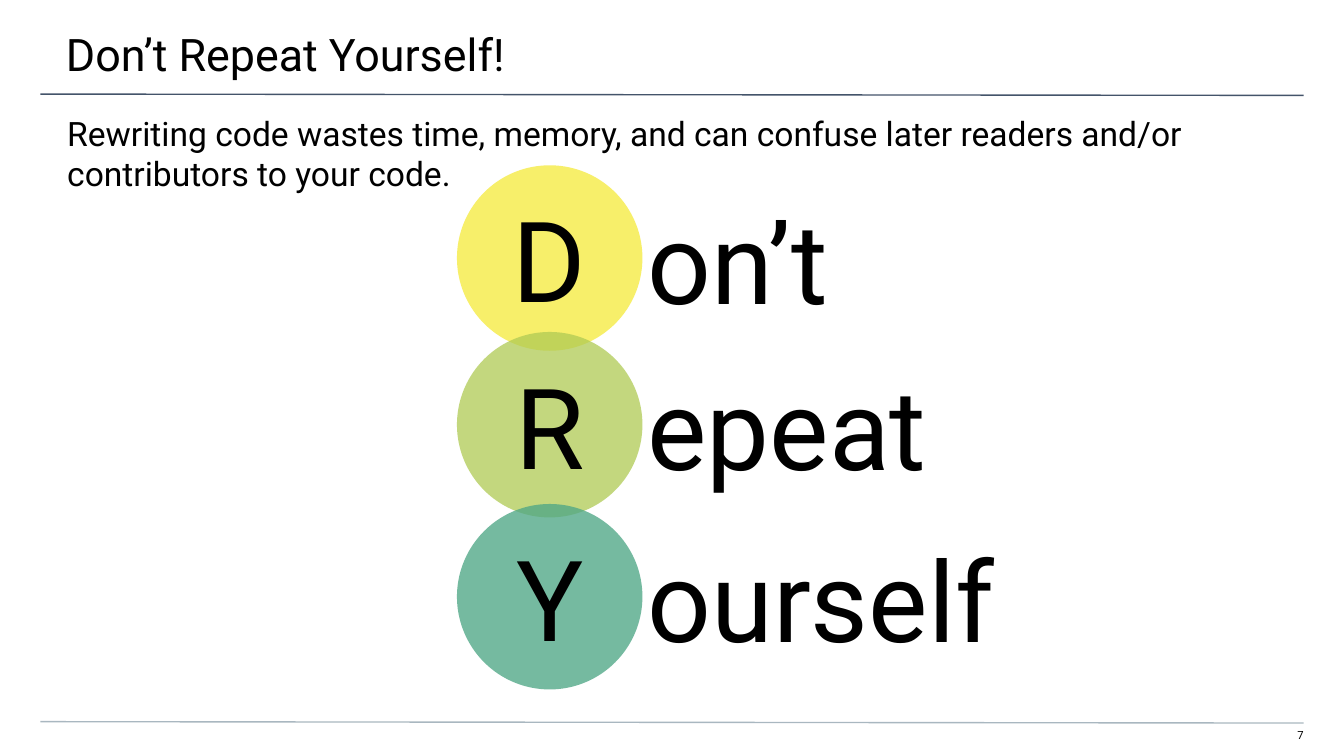
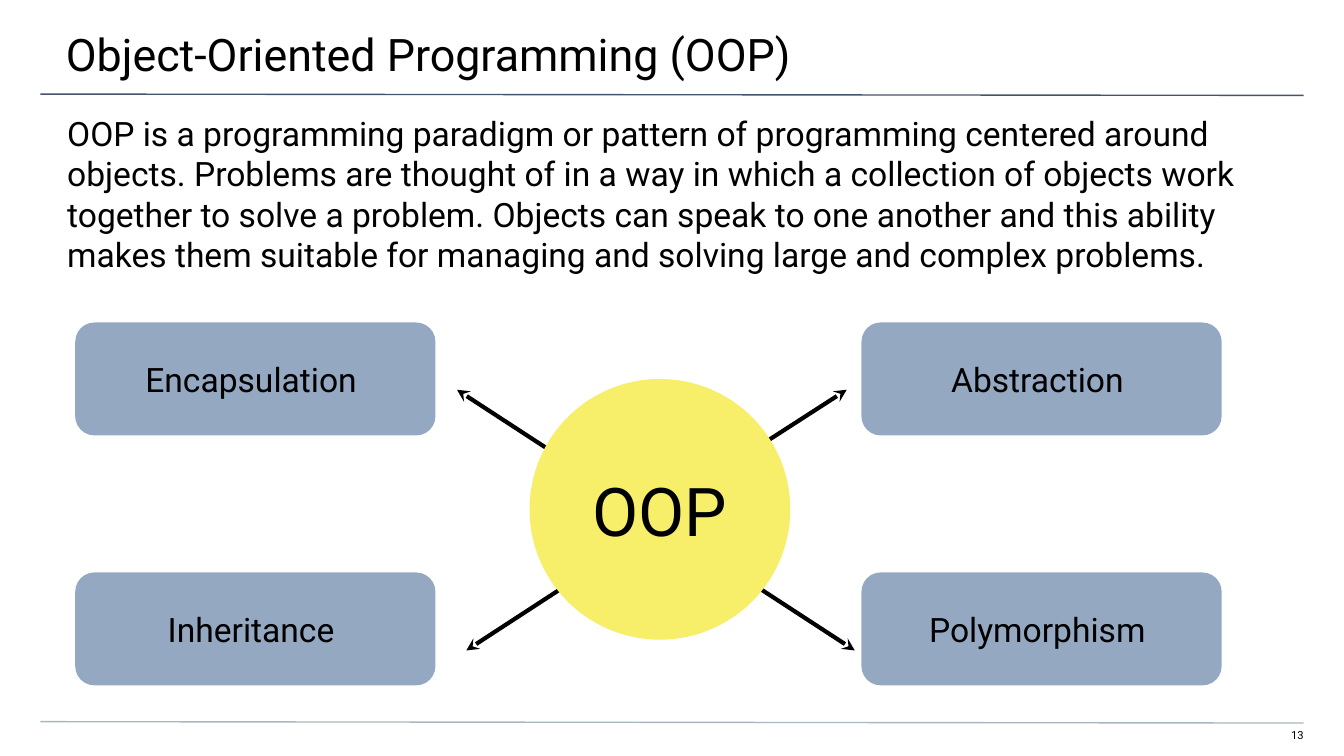
from lxml import etree
from pptx import Presentation
from pptx.dml.color import RGBColor
from pptx.enum import shapes, text
from pptx.oxml import ns
from pptx.util import Inches, Pt

FONT = "Roboto"
INK, NAVY, GREY = "000000", "44546A", "A9B7C0"
YELLOW, LIME, GREEN, BLUE = "F7EF6A", "AFCA54", "4FA786", "365C8B"
LEFT, MID, RIGHT = text.PP_ALIGN.LEFT, text.PP_ALIGN.CENTER, text.PP_ALIGN.RIGHT
TOP, CENTER = text.MSO_ANCHOR.TOP, text.MSO_ANCHOR.MIDDLE
PAD = (0.1, 0.1, 0.1, 0.1)


def color(code):
    return RGBColor.from_string(code)


def write(shape, words, size, align=LEFT, anchor=TOP, pad=PAD):
    frame = shape.text_frame
    frame.text = words
    frame.word_wrap = True
    frame.auto_size = text.MSO_AUTO_SIZE.NONE
    frame.vertical_anchor = anchor
    (frame.margin_left, frame.margin_top,
     frame.margin_right, frame.margin_bottom) = map(Inches, pad)
    para = frame.paragraphs[0]
    para.alignment = align
    para.space_before = Pt(0)
    for run in para.runs:
        run.font.name = FONT
        run.font.size = Pt(size)
        run.font.color.rgb = color(INK)


def label(slide, box, words, size, **style):
    write(slide.shapes.add_textbox(*map(Inches, box)), words, size, **style)


def block(slide, kind, box, words, size, fill, alpha=100):
    shape = slide.shapes.add_shape(kind, *map(Inches, box))
    shape.shadow.inherit = False
    shape.fill.solid()
    shape.fill.fore_color.rgb = color(fill)
    if alpha < 100:
        tint = shape._element.spPr.find(".//" + ns.qn("a:srgbClr"))
        etree.SubElement(tint, ns.qn("a:alpha"), val=str(alpha * 1000))
    shape.line.fill.background()
    write(shape, words, size, MID, CENTER)
    return shape


def line(slide, start, end, ink, width, arrow=False):
    link = slide.shapes.add_connector(
        shapes.MSO_CONNECTOR.STRAIGHT, *map(Inches, start + end))
    link.line.color.rgb = color(ink)
    link.line.width = Pt(width)
    props = link._element.spPr
    if arrow:
        etree.SubElement(props.find(ns.qn("a:ln")), ns.qn("a:tailEnd"), type="stealth")
    etree.SubElement(props, ns.qn("a:effectLst"))


def place(holder, box, words, size, pad):
    (holder.left, holder.top,
     holder.width, holder.height) = map(Inches, box)
    write(holder, words, size, pad=pad)


def page(deck, title, body, number):
    slide = deck.slides.add_slide(deck.slide_layouts[0])
    for top, ink in ((0.7, NAVY), (5.37, GREY)):
        line(slide, (0.3, top), (9.7, top + 0.01), ink, 0.75)
    label(slide, (9.41, 5.42, 0.29, 0.12), number, 6, align=RIGHT, pad=(0, 0, 0, 0.1))
    place(slide.shapes.title, (-0.01, 0, 10.03, 0.58), title, 24, (0.5, 0.2, 0.3, 0.1))
    place(slide.placeholders[1], (0, 0.74, 10, 0.4), body, 18, (0.5, 0.1, 0.5, 0))
    return slide


def dry(deck):
    slide = page(deck, "Don’t Repeat Yourself!",
                 "Rewriting code wastes time, memory, and can confuse later "
                 "readers and/or contributors to your code.", "7")
    rows = ((1.23, "D", "on’t", YELLOW, 100),
            (2.47, "R", "epeat", LIME, 75),
            (3.75, "Y", "ourself", GREEN, 78))
    for top, first, rest, fill, alpha in rows:
        block(slide, shapes.MSO_SHAPE.OVAL, (3.4, top, 1.38, 1.38), first, 60, fill, alpha)
        label(slide, (4.72, top + 0.1, 3.13, 0.69), rest, 60)


def oop(deck):
    slide = page(deck, "Object-Oriented Programming (OOP)",
                 "OOP is a programming paradigm or pattern of programming "
                 "centered around objects. Problems are thought of in a way in "
                 "which a collection of objects work together to solve a problem. "
                 "Objects can speak to one another and this ability makes them "
                 "suitable for managing and solving large and complex problems.", "13")
    pillars = (("Encapsulation ", 0.56, 2.4), ("Inheritance ", 0.56, 4.26),
               ("Abstraction ", 6.41, 2.4), ("Polymorphism ", 6.41, 4.26))
    for name, left, top in pillars:
        card = block(slide, shapes.MSO_SHAPE.ROUNDED_RECTANGLE,
                     (left, top, 2.68, 0.84), name, 18, BLUE, 53)
        card.adjustments[0] = 0.17
    arrows = (((4.29, 3.48), (3.4, 2.9)), ((5.4, 3.48), (6.3, 2.9)),
              ((4.36, 4.26), (3.47, 4.84)), ((5.47, 4.26), (6.36, 4.84)))
    for start, end in arrows:
        line(slide, start, end, INK, 2.25, arrow=True)
    block(slide, shapes.MSO_SHAPE.OVAL, (3.94, 2.82, 1.94, 1.94), "OOP", 36, YELLOW)


def main():
    deck = Presentation()
    deck.slide_width = Inches(10)
    deck.slide_height = Inches(10) * 9 // 16
    dry(deck)
    oop(deck)
    deck.save("out.pptx")


if __name__ == "__main__":
    main()
